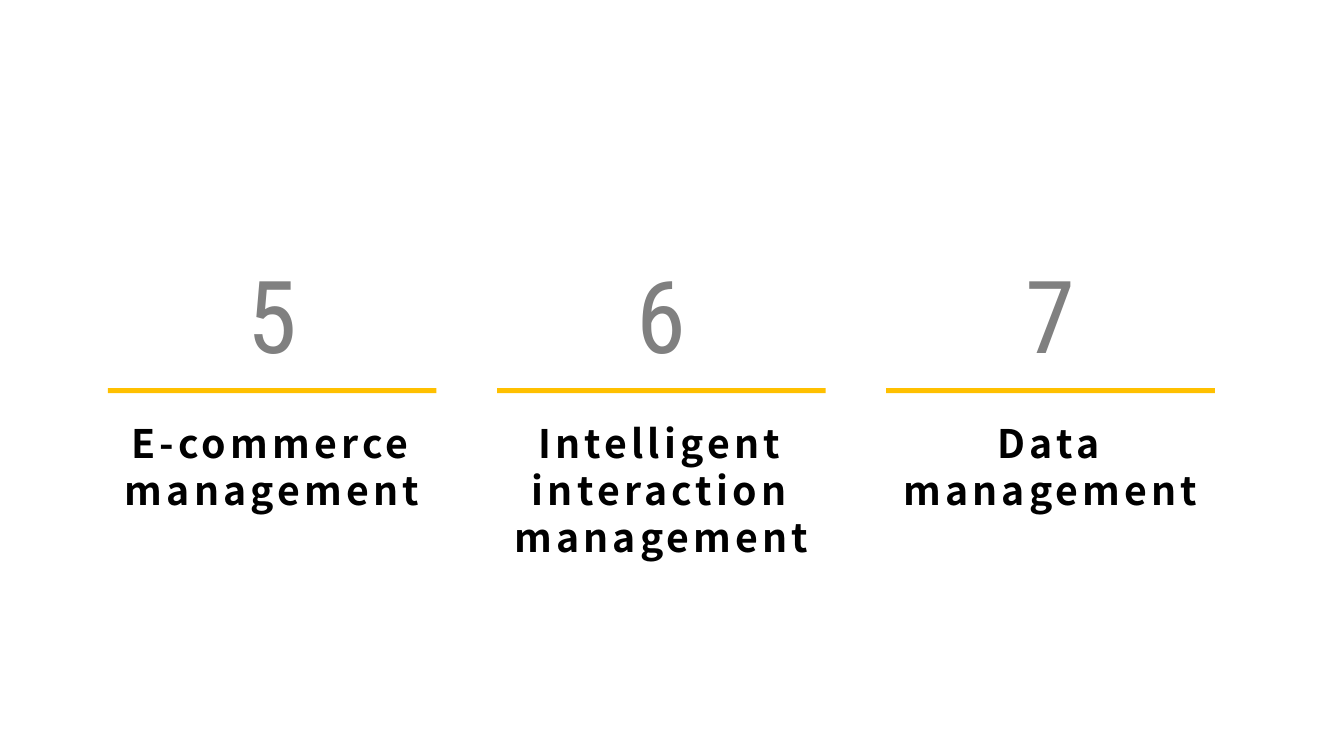
import pptx
import pptx.dml.color
import pptx.enum.shapes
import pptx.enum.text
import pptx.util
from pptx.util import Inches

AMBER = pptx.dml.color.RGBColor(0xFF, 0xC0, 0x00)
GRAY = pptx.dml.color.RGBColor(0x80, 0x80, 0x80)
BLACK = pptx.dml.color.RGBColor(0x00, 0x00, 0x00)

TOPICS = [
    ("5", "E-commerce management", 1.04),
    ("6", "Intelligent interaction management", 1.51),
    ("7", "Data management", 1.04),
]
FIRST_CENTER = 2.7
COLUMN_PITCH = 3.86


def add_rule(slide, center):
    """Draw the thin bar between a number and its title."""
    width = 3.26
    rule = slide.shapes.add_shape(
        pptx.enum.shapes.MSO_SHAPE.RECTANGLE,
        Inches(center - width / 2), Inches(3.85), Inches(width), Inches(0.05))
    rule.shadow.inherit = False
    rule.fill.solid()
    rule.fill.fore_color.rgb = AMBER
    rule.line.fill.background()


def add_label(slide, text, center, top, width, height, font_name, size, color):
    """Add a centred text box and return its font for further styling."""
    label = slide.shapes.add_textbox(
        Inches(center - width / 2), Inches(top), Inches(width), Inches(height))
    frame = label.text_frame
    frame.word_wrap = True
    frame.auto_size = pptx.enum.text.MSO_AUTO_SIZE.SHAPE_TO_FIT_TEXT
    frame.text = text
    paragraph = frame.paragraphs[0]
    paragraph.alignment = pptx.enum.text.PP_ALIGN.CENTER
    run = paragraph.runs[0]
    run.font.name = font_name
    run.font.size = pptx.util.Pt(size)
    run.font.color.rgb = color
    return run


def add_topic(slide, center, number, title, title_height):
    add_rule(slide, center)
    add_label(slide, number, center, 2.46, 1.81, 1.31,
              "Roboto Condensed", 72, GRAY)
    title_run = add_label(slide, title, center, 4.11, 3.37, title_height,
                          "Noto Sans CJK SC", 28, BLACK)
    title_run.font.bold = True
    # Letter spacing of 3 points, in hundredths of a point
    title_run.font._element.set("spc", "300")


def main():
    deck = pptx.Presentation()
    deck.slide_width = Inches(13.33)
    deck.slide_height = Inches(7.5)
    slide = deck.slides.add_slide(deck.slide_layouts[6])

    # Three numbered topics in equal columns
    for column, (number, title, title_height) in enumerate(TOPICS):
        center = FIRST_CENTER + column * COLUMN_PITCH
        add_topic(slide, center, number, title, title_height)

    deck.save("out.pptx")


if __name__ == "__main__":
    main()
